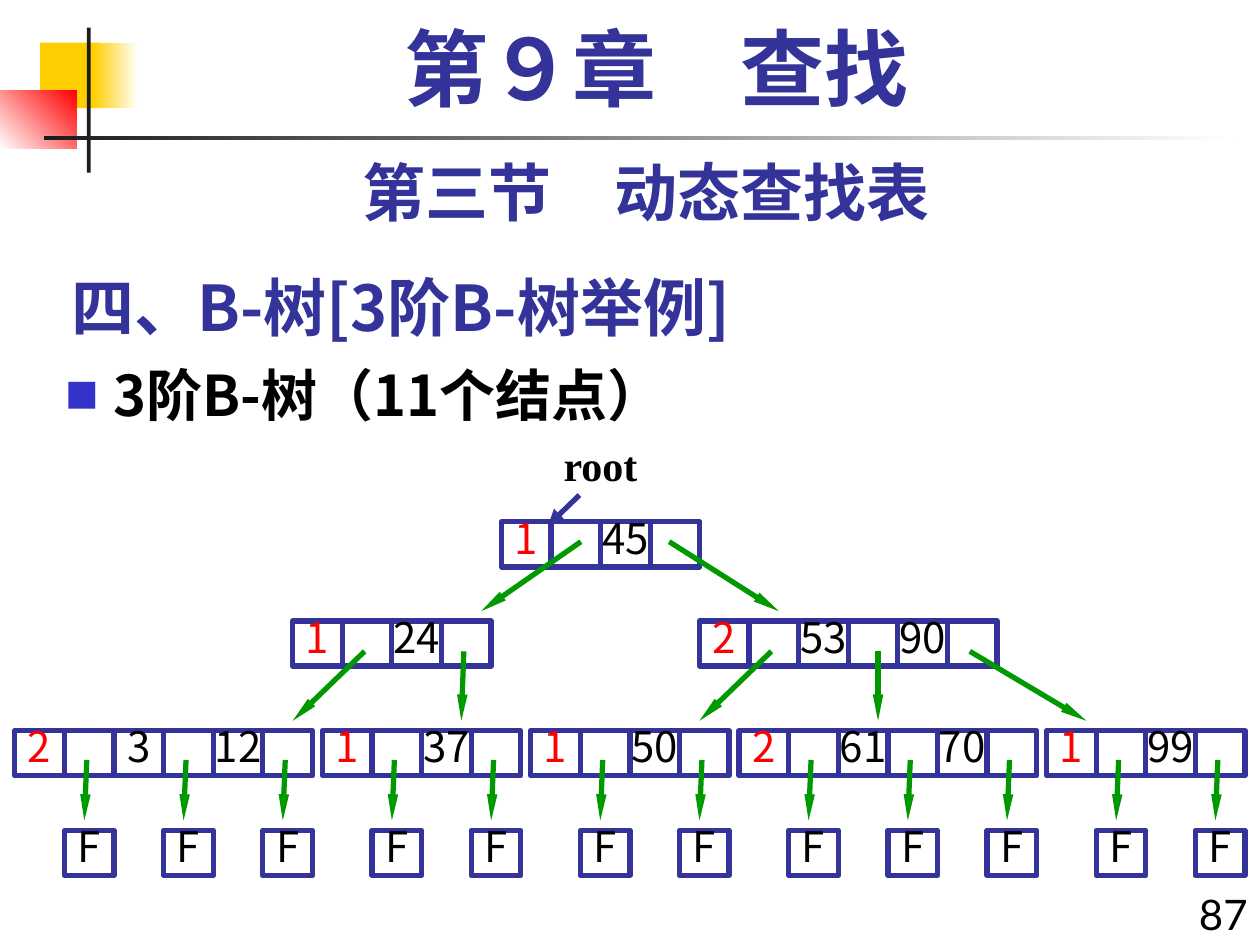
from dataclasses import dataclass

from lxml.etree import SubElement as Sub
from pptx import Presentation
from pptx.dml.color import RGBColor
from pptx.enum.shapes import MSO_CONNECTOR as Link, MSO_SHAPE as Kind
from pptx.enum.text import MSO_ANCHOR as Anchor, PP_ALIGN as Align
from pptx.oxml.ns import qn
from pptx.util import Pt

SCALE = 3600  # EMU in one px, 254 px to the inch
NAVY, GREEN, RED, BLACK = "333399", "009900", "FF0000", "000000"
GOLD, DARK, WHITE = "FFCF01", "1C1C1C", "FFFFFF"
SANS, LATO, SERIF = "Noto Sans CJK SC", "Lato", "Times New Roman"
CELL, HIGH, GAP = 100, 91, 20
LEAF_Y, FAIL_Y = 1473, 1674


@dataclass
class Box:
    x: int
    y: int
    w: int
    h: int

    def emu(self) -> list[int]:
        return [v * SCALE for v in (self.x, self.y, self.w, self.h)]


@dataclass
class Font:
    name: str
    size: int
    color: str
    bold: bool = False


@dataclass
class Node:
    """A tree node; each arm is (start offset in its pointer cell, tip x)."""
    x: int
    y: int
    keys: list[int]
    arms: list[tuple[int, int]]


def rgb(code: str) -> RGBColor:
    return RGBColor.from_string(code)


def write(shape, text: str, font: Font, align=Align.LEFT, space: float = 1.0):
    shape.text_frame.text = text
    para = shape.text_frame.paragraphs[0]
    para.alignment, para.line_spacing = align, space
    para.space_before = Pt(0)
    for run in para.runs:
        face = run.font
        face.name, face.size, face.bold = font.name, Pt(font.size), font.bold
        face.color.rgb = rgb(font.color)
        Sub(run._r.get_or_add_rPr(), qn("a:ea")).set("typeface", SANS)
    return para


def label(slide, box: Box, text: str, font: Font, align, space: float = 1.0, wrap: bool = True):
    shape = slide.shapes.add_textbox(*box.emu())
    shape.text_frame.word_wrap = wrap
    write(shape, text, font, align, space)
    return shape


def block(slide, box: Box, *tones: str, angle: int = 0) -> None:
    """Draw a borderless bar, solid for one tone and graded for two."""
    shape = slide.shapes.add_shape(Kind.RECTANGLE, *box.emu())
    shape.shadow.inherit = False
    shape.line.fill.background()
    if len(tones) == 1:
        shape.fill.solid()
        shape.fill.fore_color.rgb = rgb(tones[0])
        return
    shape.fill.gradient()
    shape.fill.gradient_angle = angle
    for stop, tone, place in zip(shape.fill.gradient_stops, tones, (0, 1)):
        stop.color.rgb, stop.position = rgb(tone), place


def cell(slide, x: int, y: int, text: str = "", color: str = BLACK) -> None:
    shape = slide.shapes.add_shape(Kind.RECTANGLE, *Box(x, y, CELL, HIGH).emu())
    shape.shadow.inherit = False
    shape.fill.background()
    shape.line.color.rgb, shape.line.width = rgb(NAVY), Pt(3)
    if text:
        frame = shape.text_frame
        frame.margin_left = frame.margin_right = 0
        frame.margin_top = frame.margin_bottom = 0
        frame.vertical_anchor = Anchor.TOP
        write(shape, text, Font(SANS, 24, color), Align.CENTER, 0.8)


def arrow(slide, start: tuple[int, int], end: tuple[int, int], color: str = GREEN,
          wide: str = "sm", size: str = "lg") -> None:
    ends = [v * SCALE for v in start + end]
    line = slide.shapes.add_connector(Link.STRAIGHT, *ends)
    line.line.color.rgb, line.line.width = rgb(color), Pt(3)
    head = Sub(line.line._get_or_add_ln(), qn("a:tailEnd"))
    for key, value in (("type", "triangle"), ("w", wide), ("len", size)):
        head.set(key, value)
    Sub(line._element.spPr, qn("a:effectLst"))


def draw(slide, node: Node, start: int, tip: int) -> None:
    """Draw the count, the pointers and keys in turn, then the arms."""
    cell(slide, node.x, node.y, str(len(node.keys)), RED)
    for i, (shift, end) in enumerate(node.arms):
        x = node.x + CELL * (2 * i + 1)
        cell(slide, x, node.y)
        if i < len(node.keys):
            cell(slide, x + CELL, node.y, str(node.keys[i]))
        arrow(slide, (x + shift, start), (end, tip))


def leaves(slide, x: int, rows: list[list[int]]) -> None:
    """Lay the leaf nodes side by side, each pointer leading to a fail node."""
    for keys in rows:
        slots = [x + CELL * (2 * i + 1) for i in range(len(keys) + 1)]
        node = Node(x, LEAF_Y, keys, [(45, s + 40) for s in slots])
        draw(slide, node, 1532, 1654)
        for slot in slots:
            cell(slide, slot, FAIL_Y, "F")
        x += CELL * (2 * len(keys) + 2) + GAP


def bullet(para) -> None:
    props = para._p.get_or_add_pPr()
    props.set("marL", str(96 * SCALE))
    props.set("indent", str(-96 * SCALE))
    Sub(Sub(props, qn("a:buClr")), qn("a:srgbClr")).set("val", "3333CC")
    Sub(props, qn("a:buSzPct")).set("val", "60000")
    Sub(props, qn("a:buFont")).set("typeface", SANS)
    Sub(props, qn("a:buChar")).set("char", "■")


def place(shape, box: Box, anchor) -> None:
    shape.left, shape.top, shape.width, shape.height = box.emu()
    shape.text_frame.vertical_anchor = anchor


def main() -> None:
    deck = Presentation()
    deck.slide_width, deck.slide_height = 2540 * SCALE, 1905 * SCALE
    slide = deck.slides.add_slide(deck.slide_layouts[1])

    block(slide, Box(81, 86, 122, 132), GOLD)
    block(slide, Box(188, 86, 91, 132), GOLD, WHITE)
    block(slide, Box(0, 183, 155, 117), WHITE, RED, angle=45)
    block(slide, Box(175, 56, 8, 292), DARK)
    block(slide, Box(89, 274, 2400, 8), DARK, WHITE)

    title, body = slide.placeholders
    place(title, Box(119, 516, 1735, 190), Anchor.BOTTOM)
    write(title, "四、B-树[3阶B-树举例]", Font(SANS, 36, NAVY, True))
    place(body, Box(107, 714, 2433, 1123), Anchor.TOP)
    bullet(write(body, "3阶B-树（11个结点）", Font(SANS, 32, BLACK, True)))

    label(slide, Box(170, 43, 2306, 211), "第９章　查找", Font(SERIF, 48, NAVY, True),
          Align.CENTER, 0.9)
    label(slide, Box(127, 297, 2350, 178), "第三节　动态查找表", Font(LATO, 36, NAVY, True),
          Align.CENTER)
    label(slide, Box(2370, 1778, 170, 127), "87", Font(LATO, 24, BLACK), Align.RIGHT)
    root = label(slide, Box(1110, 874, 201, 127), "root", Font(SERIF, 24, BLACK, True),
                 Align.CENTER, wrap=False)
    root.text_frame.vertical_anchor = Anchor.MIDDLE
    arrow(slide, (1168, 998), (1105, 1059), NAVY, "med", "med")

    draw(slide, Node(1011, 1052, [45], [(60, 970), (38, 1570)]), 1092, 1232)
    for node in (
        Node(590, 1252, [24], [(45, 590), (45, 930)]),
        Node(1410, 1252, [53, 90], [(45, 1410), (60, 1770), (45, 2190)]),
    ):
        draw(slide, node, 1313, 1453)
    leaves(slide, 30, [[3, 12], [37], [50], [61, 70], [99]])

    deck.save("out.pptx")


if __name__ == "__main__":
    main()
